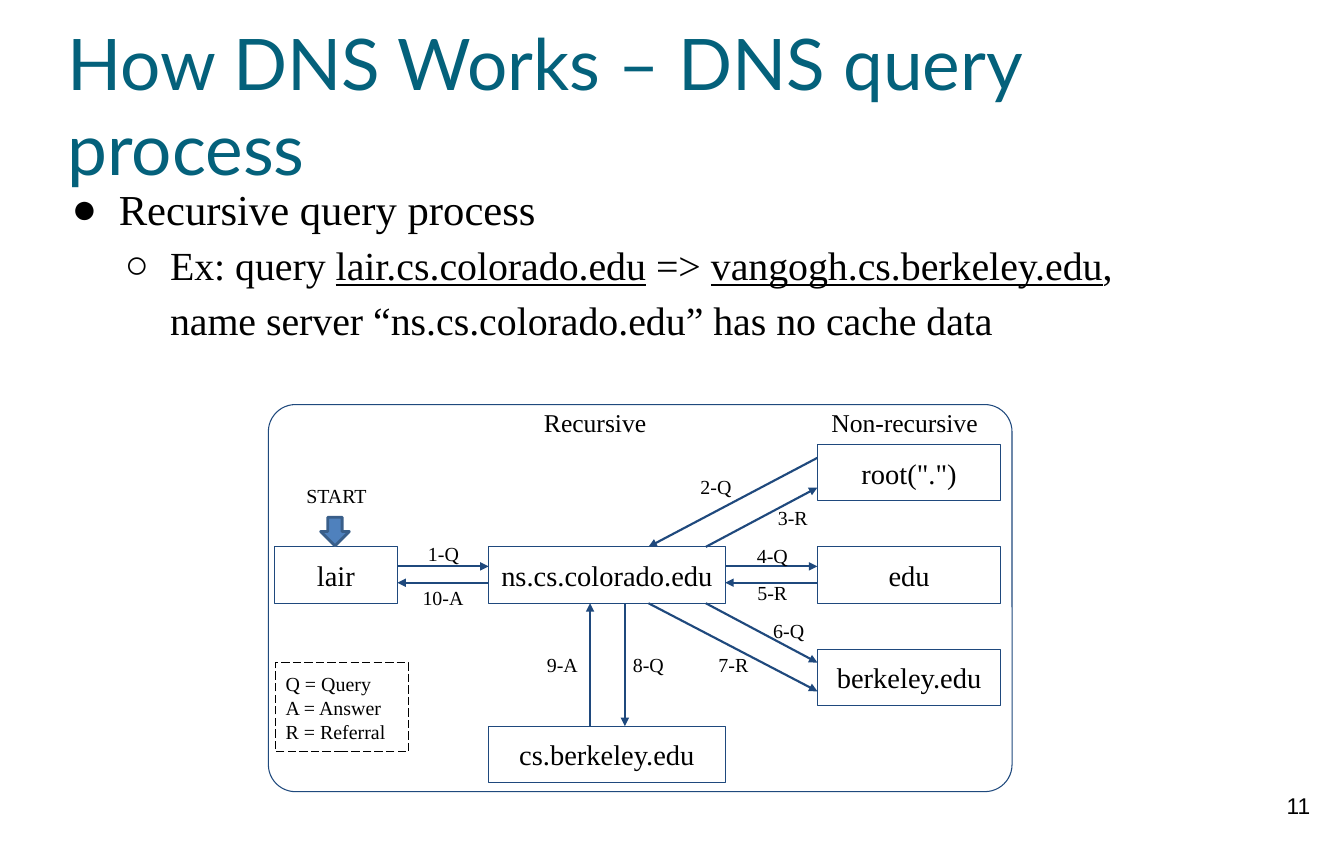
"""Build the slide on the recursive DNS query process."""
from lxml import etree
from pptx import Presentation
from pptx.dml.color import RGBColor
from pptx.enum import dml, shapes, text
from pptx.oxml import ns
from pptx.util import Inches, Pt

BLACK = RGBColor(0x00, 0x00, 0x00)
WHITE = RGBColor(0xFF, 0xFF, 0xFF)
TEAL = RGBColor(0x04, 0x61, 0x7B)
NAVY = RGBColor(0x1F, 0x49, 0x7D)
BLUE = RGBColor(0x4F, 0x81, 0xBD)
DARK_BLUE = RGBColor(0x39, 0x5E, 0x89)
SERIF = "Times New Roman"

TITLE = "How DNS Works – DNS query process"
TOPIC = "Recursive query process"
EXAMPLE = [("Ex: query ", False), ("lair.cs.colorado.edu", True), (" => ", False),
           ("vangogh.cs.berkeley.edu", True), (", ", False)]
EXAMPLE_END = "name server “ns.cs.colorado.edu” has no cache data"
LEGEND = "Q = Query\nA = Answer\nR = Referral"
PAGE = "11"

HOST_X, SERVER_X, REMOTE_X = 2.68, 4.77, 7.98
HOST_W, SERVER_W, REMOTE_W = 1.2, 2.31, 1.79
ROW_Y, ROW_STEP, BOX_H = 5.34, 1, 0.55
HOST_RIGHT, SERVER_RIGHT = HOST_X + HOST_W, SERVER_X + SERVER_W
ROW_BOTTOM, LOWER_Y = ROW_Y + BOX_H, 7.09
QUERY_Y, REPLY_Y = 5.53, 5.69

SERVERS = [
    ("lair", HOST_X, ROW_Y, HOST_W),
    ("ns.cs.colorado.edu", SERVER_X, ROW_Y, SERVER_W),
    ("cs.berkeley.edu", SERVER_X, LOWER_Y, SERVER_W),
    ('root(".")', REMOTE_X, ROW_Y - ROW_STEP, REMOTE_W),
    ("edu", REMOTE_X, ROW_Y, REMOTE_W),
    ("berkeley.edu", REMOTE_X, ROW_Y + ROW_STEP, REMOTE_W),
]
MESSAGES = [
    ("1-Q", 4.05, 5.19, (HOST_RIGHT, QUERY_Y), (SERVER_X, QUERY_Y)),
    ("2-Q", 6.71, 4.53, (REMOTE_X, 4.47), (6.33, ROW_Y)),
    ("3-R", 7.46, 4.84, (6.89, ROW_Y), (REMOTE_X, 4.76)),
    ("4-Q", 7.26, 5.21, (SERVER_RIGHT, QUERY_Y), (REMOTE_X, QUERY_Y)),
    ("5-R", 7.26, 5.57, (REMOTE_X, REPLY_Y), (SERVER_RIGHT, REPLY_Y)),
    ("6-Q", 7.42, 5.94, (6.89, ROW_BOTTOM), (REMOTE_X, 6.47)),
    ("7-R", 6.88, 6.27, (6.33, ROW_BOTTOM), (REMOTE_X, 6.75)),
    ("8-Q", 6.05, 6.27, (6.1, ROW_BOTTOM), (6.1, LOWER_Y)),
    ("9-A", 5.21, 6.27, (5.76, LOWER_Y), (5.76, ROW_BOTTOM)),
    ("10-A", 4.05, 5.62, (SERVER_X, REPLY_Y), (HOST_RIGHT, REPLY_Y)),
]
CAPTIONS = [
    ("Recursive", (4.72, 3.87, 2.18, 0.46), 18, SERIF),
    ("Non-recursive", (7.74, 3.87, 2.18, 0.46), 18, SERIF),
    ("START", (2.83, 4.62, 0.91, 0.32), 14, SERIF),
    (PAGE, (12.28, 7.63, 0.79, 0.63), 16, "Arial"),
]


def style(paragraph, size, face=SERIF, color=BLACK):
    for run in paragraph.runs:
        run.font.size, run.font.name = Pt(size), face
        run.font.color.rgb = color


def fill_frame(frame, words, size, face=SERIF, align=text.PP_ALIGN.CENTER,
               anchor=text.MSO_ANCHOR.MIDDLE, inset=0.1, color=BLACK):
    frame.word_wrap = True
    frame.auto_size = text.MSO_AUTO_SIZE.NONE
    frame.vertical_anchor = anchor
    frame.margin_left = frame.margin_right = Inches(inset)
    frame.margin_top = frame.margin_bottom = Inches(inset)
    frame.text = words
    for paragraph in frame.paragraphs:
        paragraph.alignment = align
        style(paragraph, size, face, color)


def place(placeholder, *box):
    placeholder.left, placeholder.top, placeholder.width, placeholder.height = map(Inches, box)


def add_outline(slide, kind, box, line=NAVY, weight=0.75, fill=None):
    outline = slide.shapes.add_shape(kind, *map(Inches, box))
    outline.shadow.inherit = False
    outline.line.color.rgb, outline.line.width = line, Pt(weight)
    if fill is None:
        outline.fill.background()
    else:
        outline.fill.solid()
        outline.fill.fore_color.rgb = fill
    return outline


def add_caption(slide, words, box, size, face=SERIF):
    caption = slide.shapes.add_textbox(*map(Inches, box))
    fill_frame(caption.text_frame, words, size, face, anchor=text.MSO_ANCHOR.TOP)


def add_arrow(slide, start, end):
    arrow = slide.shapes.add_connector(shapes.MSO_CONNECTOR.STRAIGHT, *map(Inches, start + end))
    arrow.line.color.rgb, arrow.line.width = NAVY, Pt(1.5)
    etree.SubElement(arrow.line._get_or_add_ln(), ns.qn("a:tailEnd"), type="triangle")
    etree.SubElement(arrow._element.spPr, ns.qn("a:effectLst"))


def set_bullet(paragraph, symbol, left, hanging):
    props = paragraph._p.get_or_add_pPr()
    props.set("marL", str(Inches(left)))
    props.set("indent", str(-Inches(hanging)))
    color = etree.SubElement(props, ns.qn("a:buClr"))
    etree.SubElement(color, ns.qn("a:srgbClr"), val=str(BLACK))
    etree.SubElement(props, ns.qn("a:buChar"), char=symbol)
    paragraph.line_spacing = 1.15
    paragraph.space_before = Pt(0)


def add_heading(slide):
    title, body = slide.shapes.title, slide.placeholders[1]
    place(title, 0.66, 0.33, 11.81, 1.38)
    fill_frame(title.text_frame, TITLE, 50, "Lato", text.PP_ALIGN.LEFT, inset=0, color=TEAL)
    place(body, 0.66, 1.71, 11.84, 1.59)
    fill_frame(body.text_frame, TOPIC, 30, align=text.PP_ALIGN.LEFT,
               anchor=text.MSO_ANCHOR.TOP, inset=0)
    set_bullet(body.text_frame.paragraphs[0], "●", 0.5, 0.46)
    example = body.text_frame.add_paragraph()
    example.level = 1
    set_bullet(example, "○", 1, 0.44)
    for words, underlined in EXAMPLE:
        run = example.add_run()
        run.text, run.font.underline = words, underlined
    example.add_line_break()
    example.add_run().text = EXAMPLE_END
    style(example, 28)


def add_diagram(slide):
    kinds = shapes.MSO_SHAPE
    frame = add_outline(slide, kinds.ROUNDED_RECTANGLE, (2.62, 3.95, 7.26, 3.78))
    frame.adjustments[0] = 0.07
    for name, left, top, width in SERVERS:
        server = add_outline(slide, kinds.RECTANGLE, (left, top, width, BOX_H),
                             fill=WHITE if name.startswith("ns.") else None)
        fill_frame(server.text_frame, name, 20)
    for label, left, top, start, end in MESSAGES:
        add_arrow(slide, start, end)
        if len(label) > 3:
            add_caption(slide, label, (left - 0.12, top, 0.79, 0.33), 14)
        else:
            add_caption(slide, label, (left, top, 0.56, 0.33), 14)
    legend = add_outline(slide, kinds.RECTANGLE, (2.69, 6.47, 1.3, 0.87), BLACK)
    legend.line.dash_style = dml.MSO_LINE.LONG_DASH
    fill_frame(legend.text_frame, LEGEND, 14, align=text.PP_ALIGN.LEFT)
    add_outline(slide, kinds.DOWN_ARROW, (3.13, 5.05, 0.28, 0.28), DARK_BLUE, 2, BLUE)


def main():
    deck = Presentation()
    deck.slide_width, deck.slide_height = Inches(13.12), Inches(8.27)
    slide = deck.slides.add_slide(deck.slide_layouts[1])
    add_heading(slide)
    add_diagram(slide)
    for words, box, size, face in CAPTIONS:
        add_caption(slide, words, box, size, face)
    deck.save("out.pptx")


if __name__ == "__main__":
    main()
